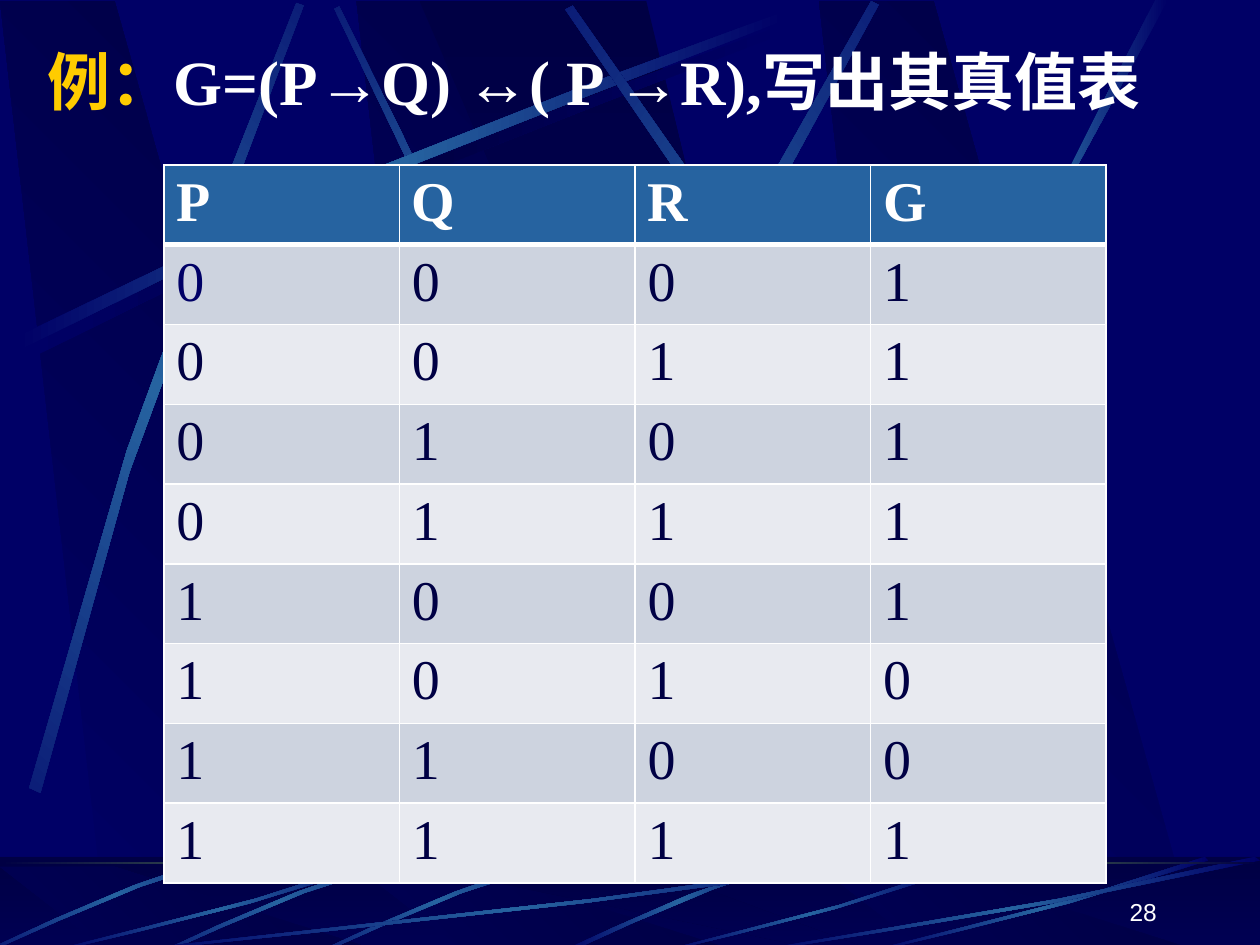
from copy import deepcopy
from math import cos, radians, sin

from lxml import etree
from pptx import Presentation
from pptx.dml.color import RGBColor
from pptx.enum.shapes import MSO_SHAPE
from pptx.enum.text import MSO_ANCHOR, PP_ALIGN
from pptx.oxml.ns import qn
from pptx.util import Inches, Pt

RECTANGLE = MSO_SHAPE.RECTANGLE
MIDDLE, BOTTOM = MSO_ANCHOR.MIDDLE, MSO_ANCHOR.BOTTOM
LEFT, RIGHT = PP_ALIGN.LEFT, PP_ALIGN.RIGHT

TITLE = [("例：", "accent"), ("G=(P→Q) ↔( P →R),写出其真值表", "white")]
HEADER = "PQRG"
TRUTH_ROWS = ["0001", "0011", "0101", "0111", "1001", "1010", "1100", "1111"]
PAGE_NUMBER = "28"

THEME = {
    "back": "000066", "dark": "000044", "streak": "2663A0", "horizon": "9CE157",
    "accent": "FFCC00", "white": "FFFFFF", "odd": "CDD3DF", "even": "E8EAF0",
    "serif": "Times New Roman", "sans": "Arial",
    "title": 36, "table": 32, "number": 14,
}
PANEL_FADE = ["back", "dark"]
BEAM_FADE = ["dark", "back"]
SHADE_FADE = ["back", "dark", "back"]
STREAK_FADE = ["back", "streak", "back"]
HORIZON_FADE = ["dark", "horizon", "dark"]

WIDTH, HEIGHT = 10, 7.5
FLOOR_TOP, FLOOR_HEIGHT = 6.8, 0.75
WALL = (0.01, 7.52)
FLOOR = (6.88, 0.67)
PANEL = [(0.86, 1), (3.02, 1), (0.91, 0), (0, 0)]
PANEL_LEFTS = [2.83, 0, 6.5]
BEAM = [(3.33, 0), (6.58, 1), (6.94, 1), (5.13, 0)]

LONG_STREAK = [(0.14, 2.67), (2.78, 1.25), (5.18, 0.51), (6.2, 0.1),
               (6.23, 0.16), (5.22, 0.61), (2.48, 1.43), (0.17, 2.77)]
WALL_STREAKS = [
    (45, (3.62, 2.22), [(4.6, 4.36), (3.91, 2.34), (3.02, 0.77), (2.69, 0.05),
                        (2.65, 0.07), (2.95, 0.79), (3.98, 2.58), (4.54, 4.39)]),
    (0, (3.18, 1.44), LONG_STREAK),
    (311.7, (1.33, 3.16), [(0.23, 6.25), (0.93, 3.34), (1.97, 1.05), (2.35, 0.02),
                           (2.41, 0.04), (2.07, 1.09), (0.86, 3.68), (0.32, 6.29)]),
    (321.6, (5.43, 3.1), [(3.85, 6.14), (4.98, 3.2), (6.38, 1.02), (6.92, 0.01),
                          (6.98, 0.04), (6.49, 1.08), (4.86, 3.55), (3.94, 6.21)]),
    (34.7, (6.27, 2.86), [(8.06, 5.6), (6.7, 2.93), (5.16, 0.95), (4.55, 0.04),
                          (4.49, 0.07), (5.07, 1.01), (6.85, 3.25), (7.99, 5.67)]),
    (0, (8.32, 1.98), [(7.38, 3.94), (8.14, 1.73), (8.88, 0.66), (9.17, 0),
                       (9.27, 0), (8.36, 1.45), (7.69, 3.22), (7.44, 3.97)]),
]
FLOOR_ARC = [(6.27, 6.82), (5.37, 7.09), (4.77, 7.42), (4.48, 7.54),
             (4.53, 7.55), (4.9, 7.38), (5.71, 7), (6.28, 6.85)]
SHORT_STREAK = [(0.92, -0.38), (0.05, -0.12), (-0.63, 0.22), (-0.94, 0.36),
                (-0.93, 0.38), (-0.62, 0.25), (0.15, -0.14), (0.94, -0.34)]
SHORT_CENTERS = [(3.5, 7.18), (2.25, 7.18), (0.95, 7.13)]
FAN = [(1, 0.04), (0.57, 0.57), (0.17, 0.85), (0.01, 1),
       (0, 0.99), (0.17, 0.81), (0.61, 0.51), (0.99, 0)]
FAN_BOXES = [(1, 6.8, 6.17, 0.75), (0.42, 6.8, 2.67, 0.75), (5.27, 6.89, 2.31, 0.66),
             (6.92, 6.8, 2.67, 0.75), (6, 6.8, 4, 0.75)]

TITLE_BOX = (0.28, 0.28, 9.16, 0.71)
TABLE_BOX = (1.3, 1.31, 7.48, 5.7)
NUMBER_BOX = (7.2, 6.9, 2.08, 0.5)


def color(name):
    return RGBColor.from_string(THEME[name])


def inches(values):
    return [Inches(value) for value in values]


def style_font(font, face, size, tint, bold=False):
    font.name, font.size, font.bold = THEME[face], Pt(THEME[size]), bold
    font.color.rgb = color(tint)


def fade(shape, names, angle=0):
    shape.shadow.inherit = False
    shape.line.fill.background()
    fill = shape.fill
    fill.gradient()
    fill.gradient_angle = angle
    first, last = fill.gradient_stops
    for stop, name, position in [(first, names[0], 0), (last, names[-1], 1)]:
        stop.color.rgb = color(name)
        stop.position = position
    if len(names) == 3:
        stops = shape.element.spPr.find(qn("a:gradFill")).find(qn("a:gsLst"))
        stops.insert(1, deepcopy(stops[0]))
        middle = fill.gradient_stops[1]
        middle.color.rgb = color(names[1])
        middle.position = 0.5


def draw_outline(group, points, names, angle=0):
    points = [inches(point) for point in points]
    builder = group.shapes.build_freeform(*points[0], scale=1)
    builder.add_line_segments(points[1:], close=True)
    shape = builder.convert_to_shape()
    fade(shape, names, angle)
    return shape


def curve(controls, steps=3):
    for step in range(steps + 1):
        t = step / steps
        weights = ((1 - t) ** 3, 3 * t * (1 - t) ** 2, 3 * t * t * (1 - t), t ** 3)
        yield tuple(sum(w * point[axis] for w, point in zip(weights, controls))
                    for axis in (0, 1))


def turn(point, center, degrees):
    dx, dy = point[0] - center[0], point[1] - center[1]
    c, s = cos(radians(degrees)), sin(radians(degrees))
    return center[0] + dx * c - dy * s, center[1] + dx * s + dy * c


def draw_streak(group, controls, names=STREAK_FADE, rotation=0, center=(0, 0)):
    points = [*curve(controls[:4]), *curve(controls[4:])]
    points = [turn(point, center, -rotation) for point in points]
    draw_outline(group, points, names).rotation = rotation


def shift(points, dx, dy):
    return [(x + dx, y + dy) for x, y in points]


def draw_panels(group, top, height):
    for left in PANEL_LEFTS:
        points = [(left + x, top + y * height) for x, y in PANEL]
        draw_outline(group, points, PANEL_FADE, 45)
    draw_outline(group, [(x, top + y * height) for x, y in BEAM], BEAM_FADE, 270)


def draw_band(group, top, height, names, angle=0):
    band = group.shapes.add_shape(RECTANGLE, *inches((0, top, WIDTH, height)))
    fade(band, names, angle)
    return band


def draw_backdrop(page, master):
    master.background.fill.solid()
    master.background.fill.fore_color.rgb = color("back")
    group = page.shapes.add_group_shape()
    draw_panels(group, *WALL)
    draw_streak(group, shift(LONG_STREAK, 0.06, 0.08), SHADE_FADE)
    for rotation, center, controls in WALL_STREAKS:
        draw_streak(group, controls, STREAK_FADE, rotation, center)
    draw_band(group, FLOOR_TOP, FLOOR_HEIGHT, BEAM_FADE, 270)
    draw_panels(group, *FLOOR)
    veil = draw_band(group, FLOOR_TOP, FLOOR_HEIGHT, BEAM_FADE)
    veil.fill.solid()
    veil.fill.fore_color.rgb = color("dark")
    tint = veil.element.spPr.find(qn("a:solidFill"))[0]
    etree.SubElement(tint, qn("a:alpha"), val="50000")
    draw_streak(group, FLOOR_ARC)
    for center in SHORT_CENTERS:
        draw_streak(group, shift(SHORT_STREAK, *center), STREAK_FADE, 315, center)
    for left, top, width, height in FAN_BOXES:
        draw_streak(group, [(left + x * width, top + y * height) for x, y in FAN])
    draw_band(group, 6.84, 0.02, HORIZON_FADE)
    for number, label in enumerate(group.element.iter(qn("p:cNvPr")), 100):
        label.set("id", str(number))
    master.shapes.element.insert(2, group.element)


def border(cell, widths):
    for side, width in zip(("lnL", "lnR", "lnT", "lnB"), widths):
        line = etree.SubElement(cell._tc.get_or_add_tcPr(), qn("a:" + side), w=str(Pt(width)))
        fill = etree.SubElement(line, qn("a:solidFill"))
        etree.SubElement(fill, qn("a:srgbClr"), val=THEME["white"])


def draw_table(page):
    rows = [HEADER, *TRUTH_ROWS]
    table = page.shapes.add_table(len(rows), len(HEADER), *inches(TABLE_BOX)).table
    for r, values in enumerate(rows):
        for c, value in enumerate(values):
            cell = table.cell(r, c)
            cell.text = value
            border(cell, (1, 1, 3 if r == 1 else 1, 3 if r == 0 else 1))
            cell.fill.solid()
            cell.fill.fore_color.rgb = color("streak" if r == 0 else "odd" if r % 2 else "even")
            tint = "white" if r == 0 else "back" if (r, c) == (1, 0) else "dark"
            span = cell.text_frame.paragraphs[0].runs[0]
            style_font(span.font, "serif", "table", tint, r == 0)


def draw_text(page):
    title = page.shapes.title
    title.left, title.top, title.width, title.height = inches(TITLE_BOX)
    title.text_frame.vertical_anchor = MIDDLE
    para = title.text_frame.paragraphs[0]
    para.alignment = LEFT
    for text, tint in TITLE:
        span = para.add_run()
        span.text = text
        style_font(span.font, "serif", "title", tint, True)

    box = page.shapes.add_textbox(*inches(NUMBER_BOX))
    box.text_frame.word_wrap = True
    box.text_frame.vertical_anchor = BOTTOM
    box.text_frame.text = PAGE_NUMBER
    para = box.text_frame.paragraphs[0]
    para.alignment = RIGHT
    style_font(para.runs[0].font, "sans", "number", "white")


deck = Presentation()
deck.slide_width, deck.slide_height = inches((WIDTH, HEIGHT))
page = deck.slides.add_slide(deck.slide_layouts[5])
draw_backdrop(page, deck.slide_master)
draw_table(page)
draw_text(page)
deck.save("out.pptx")
